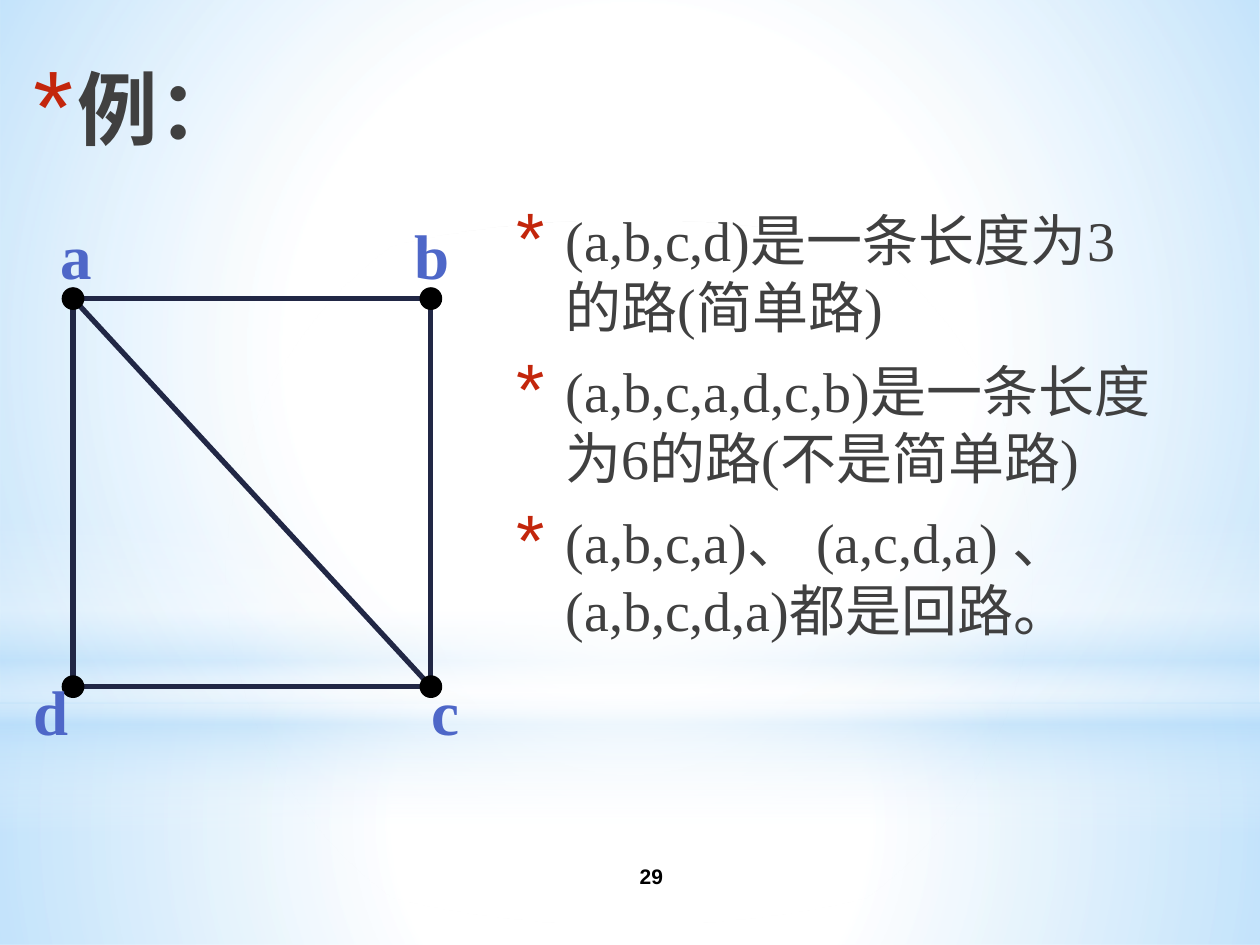
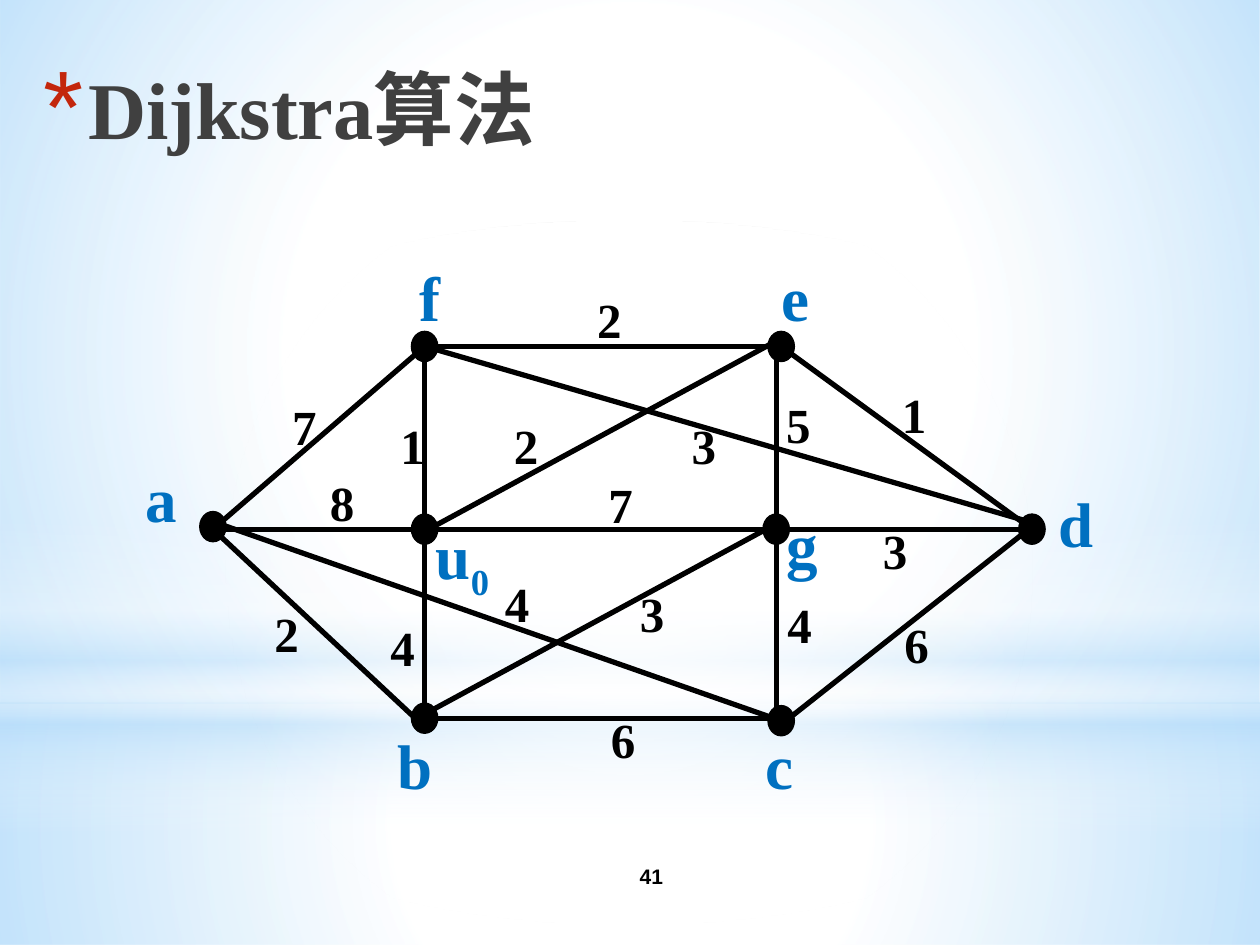
from dataclasses import dataclass
from lxml.etree import SubElement
from pptx import Presentation
from pptx.dml.color import RGBColor
from pptx.enum.shapes import MSO_CONNECTOR, MSO_SHAPE
from pptx.enum.text import MSO_ANCHOR, MSO_AUTO_SIZE, PP_ALIGN
from pptx.oxml.ns import qn
from pptx.util import Inches, Pt


@dataclass
class Theme:
    ink: str = "404040"
    mark: str = "C3260C"
    navy: str = "212745"
    name: str = "4E67C8"
    blue: str = "0070C0"
    black: str = "000000"
    white: str = "FFFFFF"
    sky: str = "B4DCFA"
    serif: str = "Times New Roman"
    sans: str = "Arial"
    han: str = "Noto Sans CJK SC"
    title: int = 46
    body: int = 32
    node: int = 36
    cost: int = 28
    foot: int = 12
    edge: int = 3


T = Theme()

BANDS = [
    (MSO_SHAPE.RECTANGLE, (0, 5.58, 10, 1.92),
     [(0, T.white, 91), (37, T.white, 76), (100, T.sky, 79)], True),
    (MSO_SHAPE.RECTANGLE, (0, 0, 10, 5.58),
     [(0, T.white, 89), (48, T.white, 62), (100, T.sky, 79)], True),
    (MSO_SHAPE.RECTANGLE, (0, 4.12, 10, 2.5),
     [(0, T.white, 0), (29, T.white, 30), (45, T.sky, 40),
      (55, T.white, 26), (65, T.sky, 60), (100, T.white, 0)], False),
    (MSO_SHAPE.OVAL, (0, 1.75, 10, 5.58),
     [(0, T.white, 100), (56, T.white, 0)], True),
]

PATHS = [
    "(a,b,c,d)是一条长度为3的路(简单路)",
    "(a,b,c,a,d,c,b)是一条长度为6的路(不是简单路)",
    "(a,b,c,a)、 (a,c,d,a) 、 (a,b,c,d,a)都是回路。",
]
LEFT, TOP, RIGHT, BASE = 0.58, 2.37, 3.42, 5.45
SQUARE = [(x, y) for x in (LEFT, RIGHT) for y in (TOP, BASE)]
CORNERS = [("a", 0.38, 1.67, 0.45), ("b", 3.19, 1.67, 0.48),
           ("c", 3.33, 5.29, 0.42), ("d", 0.17, 5.29, 0.48)]

NODES = [(3.37, 2.75), (3.37, 5.7), (6.2, 2.75), (6.2, 5.72),
         (1.69, 4.18), (8.19, 4.2), (6.16, 4.2), (3.37, 4.2)]
EDGES = [
    (3.31, 5.7, 6.21, 4.13), (3.31, 4.25, 6.21, 2.68),
    (6.14, 5.7, 1.69, 4.14), (8.13, 4.13, 3.41, 2.76),
    (3.37, 5.7, 3.37, 2.8), (6.16, 5.7, 6.16, 2.8),
    (1.69, 4.2, 3.37, 5.77), (3.37, 5.7, 6.2, 5.7),
    (6.2, 5.75, 8.19, 4.18), (1.69, 4.2, 8.19, 4.2),
    (1.69, 4.2, 3.37, 2.75), (3.37, 2.75, 6.2, 2.75),
    (6.2, 2.75, 8.19, 4.2),
]
NAMES = [("a", 1.06, 3.6, 0.45), ("b", 3.06, 5.72, 0.48),
         ("c", 5.98, 5.72, 0.42), ("d", 8.3, 3.8, 0.48),
         ("e", 6.1, 2, 0.42), ("f", 3.23, 2, 0.37),
         ("g", 6.14, 3.96, 0.45), ("u0", 3.36, 4.05, 0.65)]
COSTS = [("7", 2.22, 3.1), ("6", 4.75, 5.58), ("2", 2.08, 4.74),
         ("8", 2.52, 3.7), ("1", 3.08, 3.25), ("4", 3, 4.85),
         ("4", 3.91, 4.5), ("3", 4.98, 4.58), ("4", 6.15, 4.67),
         ("7", 4.73, 3.72), ("2", 3.98, 3.25), ("3", 5.39, 3.25),
         ("5", 6.14, 3.08), ("6", 7.08, 4.83), ("3", 6.91, 4.08),
         ("2", 4.64, 2.25), ("1", 7.06, 3)]


def place(box):
    return [Inches(v) for v in box]


def tint(hue):
    return RGBColor.from_string(hue)


def shade(shape, stops, round_):
    prop = shape.fill._xPr
    fill = prop.makeelement(qn("a:gradFill"), {"rotWithShape": "1"})
    prop.find(qn("a:prstGeom")).addnext(fill)
    row = SubElement(fill, qn("a:gsLst"))
    for pos, hue, alpha in stops:
        stop = SubElement(row, qn("a:gs"), pos=str(pos * 1000))
        color = SubElement(stop, qn("a:srgbClr"), val=hue)
        SubElement(color, qn("a:alpha"), val=str(alpha * 1000))
    if round_:
        way = SubElement(fill, qn("a:path"), path="circle")
        SubElement(way, qn("a:fillToRect"), dict.fromkeys("ltrb", "50000"))
    else:
        SubElement(fill, qn("a:lin"), ang="5400000", scaled="0")


def form(slide, kind, box):
    shape = slide.shapes.add_shape(kind, *place(box))
    shape.shadow.inherit = False
    return shape


def style(para, size, hue, face=T.serif, bold=True):
    font = para.font
    font.size, font.bold, font.name = Pt(size), bold, face
    font.color.rgb = tint(hue)
    for run in para.runs:
        SubElement(run._r.get_or_add_rPr(), qn("a:ea"), typeface=T.han)


def star(para, indent, size):
    prop = para._p.get_or_add_pPr()
    prop.set("marL", str(Inches(indent)))
    prop.set("indent", str(-Inches(indent)))
    color = SubElement(prop, qn("a:buClr"))
    SubElement(color, qn("a:srgbClr"), val=T.mark)
    SubElement(prop, qn("a:buSzPct"), val=str(size * 1000))
    SubElement(prop, qn("a:buFont"), typeface=T.sans)
    SubElement(prop, qn("a:buChar"), char="*")


def write(slide, box, wrap=True):
    frame = slide.shapes.add_textbox(*place(box)).text_frame
    frame.word_wrap = wrap
    if not wrap:
        frame.auto_size = MSO_AUTO_SIZE.SHAPE_TO_FIT_TEXT
    return frame


def label(slide, text, box, size, hue):
    para = write(slide, box, False).paragraphs[0]
    para.add_run().text = text[0]
    if text[1:]:
        sub = para.add_run()
        sub.text = text[1:]
        sub.font._element.set("baseline", "-25000")
    style(para, size, hue)


def tag(slide, names, hue):
    for text, x, y, wide in names:
        label(slide, text, (x, y, wide, 0.7), T.node, hue)


def link(slide, ends, hue):
    line = slide.shapes.add_connector(MSO_CONNECTOR.STRAIGHT, *place(ends))
    line.line.color.rgb = tint(hue)
    line.line.width = Pt(T.edge)
    SubElement(line._element.spPr, qn("a:effectLst"))


def dots(slide, spots, wide, high):
    for x, y in spots:
        dot = form(slide, MSO_SHAPE.OVAL,
                   (x - wide / 2, y - high / 2, wide, high))
        dot.fill.solid()
        dot.fill.fore_color.rgb = tint(T.black)
        dot.line.color.rgb = tint(T.black)
        dot.line.width = Pt(0.75)


def start(deck, title, left, wide, face, number):
    slide = deck.slides.add_slide(deck.slide_layouts[6])
    for kind, box, stops, round_ in BANDS:
        band = form(slide, kind, box)
        band.line.fill.background()
        shade(band, stops, round_)
    foot = write(slide, (4.17, 6.75, 2, 0.4))
    foot.vertical_anchor = MSO_ANCHOR.MIDDLE
    foot.text = number
    foot.paragraphs[0].alignment = PP_ALIGN.CENTER
    style(foot.paragraphs[0], T.foot, T.black, T.sans)
    head = write(slide, (left, 0.42, wide, 0.83))
    head.text = title
    star(head.paragraphs[0], 0.35, 128)
    style(head.paragraphs[0], T.title, T.ink, face)
    return slide


def walks(deck):
    slide = start(deck, "例：", 0.17, 8.5, T.han, "29")
    frame = write(slide, (4, 1.58, 5.33, 4.92))
    frame.text = "\n".join(PATHS)
    for i, para in enumerate(frame.paragraphs):
        para.line_spacing = Pt(38.5)
        para.space_before = Pt(6.4 if i else 0)
        para.space_after = Pt(3)
        star(para, 0.39, 130)
        style(para, T.body, T.ink, bold=False)
    frame_ = form(slide, MSO_SHAPE.RECTANGLE,
                  (LEFT, TOP, RIGHT - LEFT, BASE - TOP))
    frame_.fill.background()
    frame_.line.color.rgb = tint(T.navy)
    frame_.line.width = Pt(T.edge)
    link(slide, (LEFT, TOP, RIGHT, BASE), T.navy)
    dots(slide, SQUARE, 0.17, 0.17)
    tag(slide, CORNERS, T.name)


def costs(deck):
    slide = start(deck, "Dijkstra算法", 0.25, 8.92, T.serif, "41")
    for ends in EDGES:
        link(slide, ends, T.black)
    dots(slide, NODES, 0.21, 0.24)
    tag(slide, NAMES, T.blue)
    for text, x, y in COSTS:
        label(slide, text, (x, y, 0.4, 0.57), T.cost, T.black)


def main():
    deck = Presentation()
    deck.slide_width, deck.slide_height = Inches(10), Inches(7.5)
    walks(deck)
    costs(deck)
    deck.save("out.pptx")


if __name__ == "__main__":
    main()
